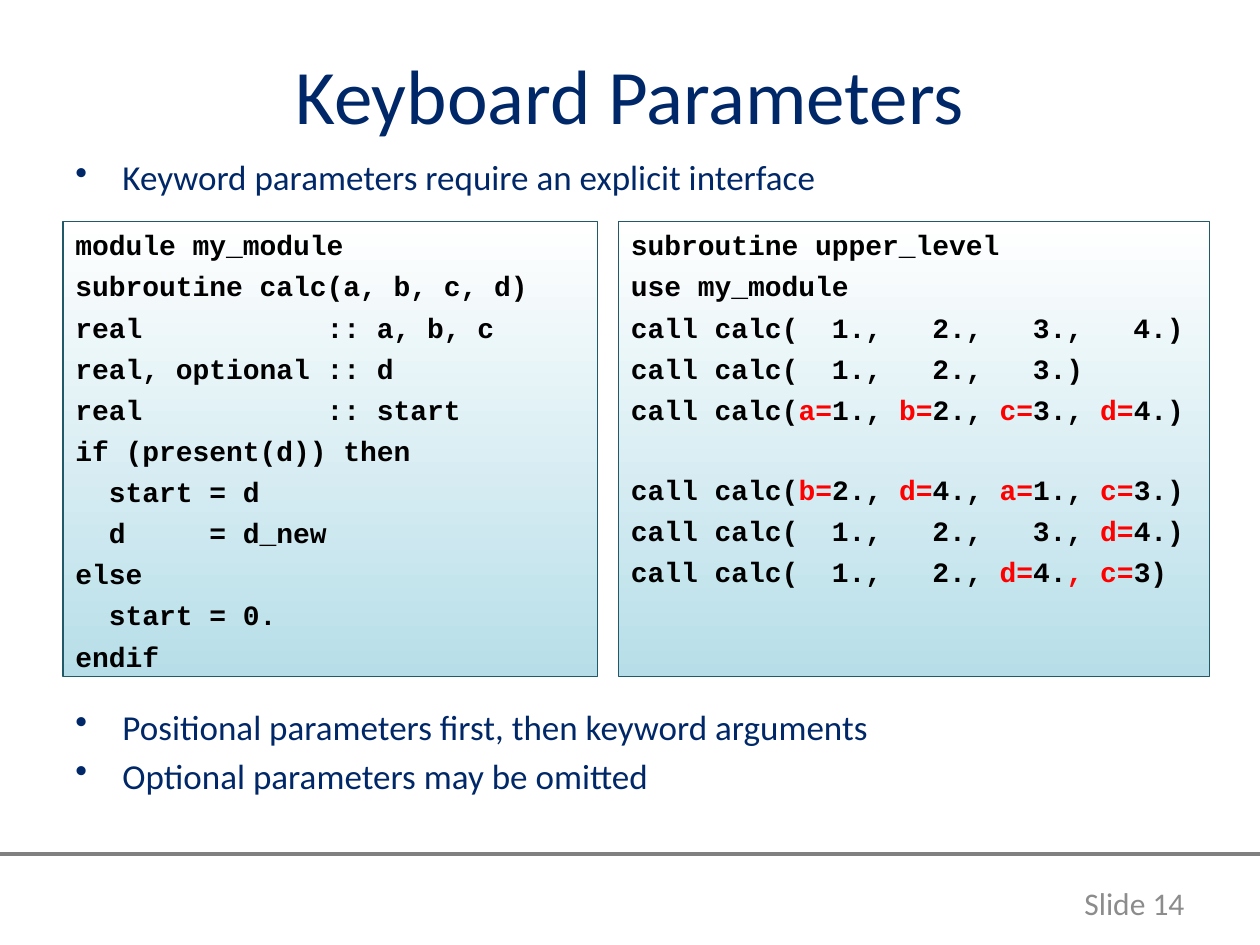
import pptx
import pptx.dml.color
import pptx.enum.shapes
import pptx.enum.text
import pptx.util
from lxml import etree
from pptx.util import Cm, Pt

ALIGN = pptx.enum.text.PP_ALIGN
ANCHOR = pptx.enum.text.MSO_ANCHOR
NAVY = "002868"
MARGIN = 1.27
CONTENT_WIDTH = 22.86

MODULE_CODE = """module my_module
subroutine calc(a, b, c, d)
real           :: a, b, c
real, optional :: d
real           :: start
if (present(d)) then
  start = d
  d     = d_new
else
  start = 0.
endif"""

CALL_CODE = """subroutine upper_level
use my_module
call calc(  1.,   2.,   3.,   4.)
call calc(  1.,   2.,   3.)
call calc(|a=|1., |b=|2., |c=|3., |d=|4.)

call calc(|b=|2., |d=|4., |a=|1., |c=|3.)
call calc(  1.,   2.,   3., |d=|4.)
call calc(  1.,   2., |d=|4.|, c=|3)"""


def rgb(value):
    return pptx.dml.color.RGBColor.from_string(value)


def style(span, font, size, color, bold=False):
    span.font.name = font
    span.font.size = Pt(size)
    span.font.color.rgb = rgb(color)
    span.font.bold = bold


def add_label(page, left, top, width, height, lines, size, color=NAVY, align=ALIGN.LEFT, anchor=ANCHOR.MIDDLE):
    box = page.shapes.add_textbox(Cm(left), Cm(top), Cm(width), Cm(height))
    frame = box.text_frame
    frame.word_wrap = True
    frame.vertical_anchor = anchor
    frame.text = "\n".join(lines)
    for para in frame.paragraphs:
        para.alignment = align
        style(para.runs[0], "Calibri", size, color)
    return box


def add_bullets(page, top, lines):
    box = add_label(page, MARGIN, top, CONTENT_WIDTH, 1.88, lines, 20, anchor=ANCHOR.TOP)
    for para in box.text_frame.paragraphs:
        para.space_before = Pt(4)
        properties = para._p.get_or_add_pPr()
        properties.set("marL", str(Cm(0.95)))
        properties.set("indent", str(Cm(-0.95)))
        bullet = etree.SubElement(properties, pptx.oxml.ns.qn("a:buChar"))
        bullet.set("char", "\u2022")


def add_code(page, left, width, code):
    box = page.shapes.add_shape(
        pptx.enum.shapes.MSO_SHAPE.RECTANGLE, Cm(left), Cm(4.47), Cm(width), Cm(9.17))
    box.shadow.inherit = False
    box.fill.gradient()
    box.fill.gradient_angle = 90
    for stop, color in zip(box.fill.gradient_stops, ("B7DEE8", "FFFFFF")):
        stop.color.rgb = rgb(color)
    box.line.color.rgb = rgb("215968")
    box.line.width = Pt(0.75)
    frame = box.text_frame
    frame.word_wrap = True
    frame.vertical_anchor = ANCHOR.TOP
    para = frame.paragraphs[0]
    gap = 4.3
    for number, line in enumerate(code.split("\n")):
        if not line:
            gap += 22.4
            continue
        if number:
            para = frame.add_paragraph()
        para.alignment = ALIGN.LEFT
        para.space_before = Pt(gap)
        gap = 4.3
        for index, part in enumerate(line.split("|")):
            span = para.add_run()
            span.text = part
            style(span, "Courier New", 16, "FF0000" if index % 2 else "000000", True)


def add_rule(page, top, width):
    rule = page.shapes.add_connector(
        pptx.enum.shapes.MSO_CONNECTOR.STRAIGHT, Cm(0), Cm(top), Cm(width), Cm(top))
    rule.line.color.rgb = rgb("808080")
    rule.line.width = Pt(2)
    etree.SubElement(rule._element.spPr, pptx.oxml.ns.qn("a:effectLst"))


def main():
    deck = pptx.Presentation()
    deck.slide_width = Cm(25.4)
    deck.slide_height = Cm(19.05)
    page = deck.slides.add_slide(deck.slide_layouts[6])
    add_rule(page, 17.22, 25.4)
    add_label(page, 21.36, 17.7, 2.77, 1.02, ["Slide 14"], 18, "8C8C8C", ALIGN.RIGHT)
    add_label(page, MARGIN, 0.76, CONTENT_WIDTH, 2.24, ["Keyboard Parameters"], 44, align=ALIGN.CENTER)
    add_bullets(page, 3.02, ["Keyword parameters require an explicit interface"])
    add_code(page, MARGIN, 10.77, MODULE_CODE)
    add_code(page, 12.47, 11.91, CALL_CODE)
    add_bullets(page, 14.1, [
        "Positional parameters first, then keyword arguments",
        "Optional parameters may be omitted",
    ])
    deck.save("out.pptx")


main()
